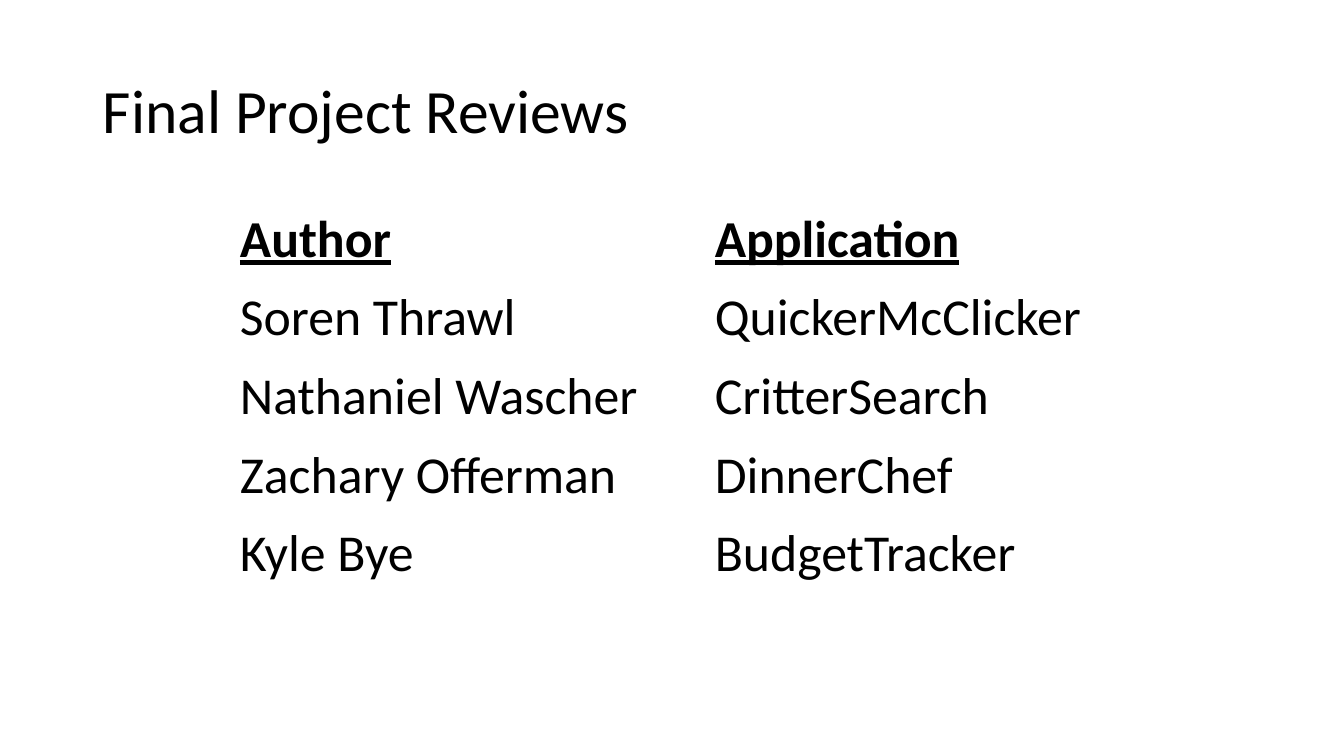
from pptx import Presentation
from pptx.dml.color import RGBColor
from pptx.enum.text import MSO_ANCHOR, PP_ALIGN
from pptx.util import Inches, Pt

BLACK = RGBColor(0, 0, 0)
FONT = "Calibri"
MIDDLE, BOTTOM = MSO_ANCHOR.MIDDLE, MSO_ANCHOR.BOTTOM
LEFT = PP_ALIGN.LEFT
TITLE_ONLY = 5

TITLE_BOX = (0.92, 0.4, 11.5, 1.45)
TABLE_BOX = (2.35, 1.91, 8.64, 3.9)
COLUMN_WIDTHS = (4.71, 3.93)
REVIEWS = (
    ("Author", "Application"),
    ("Soren Thrawl", "QuickerMcClicker"),
    ("Nathaniel Wascher", "CritterSearch"),
    ("Zachary Offerman", "DinnerChef"),
    ("Kyle Bye", "BudgetTracker"),
)


def style_text(para, size, emphasis=False):
    para.alignment = LEFT
    for span in para.runs:
        font = span.font
        font.name = FONT
        font.size = Pt(size)
        font.color.rgb = BLACK
        font.bold = emphasis
        font.underline = emphasis


def place_title(page, box, text):
    title = page.shapes.title
    title.left, title.top, title.width, title.height = map(Inches, box)
    frame = title.text_frame
    frame.text = text
    frame.vertical_anchor = MIDDLE
    para = frame.paragraphs[0]
    para.line_spacing = 0.9
    style_text(para, 44)


def style_cell(cell, text, emphasis):
    cell.fill.background()
    cell.vertical_anchor = BOTTOM
    cell.margin_left = cell.margin_top = cell.margin_right = Inches(0.03)
    cell.margin_bottom = 0
    cell.text_frame.text = text
    style_text(cell.text_frame.paragraphs[0], 37, emphasis)


def add_review_table(page, box, rows):
    frame = page.shapes.add_table(len(rows), len(COLUMN_WIDTHS), *map(Inches, box))
    table = frame.table
    table.horz_banding = False
    table.first_row = False
    for column, width in zip(table.columns, COLUMN_WIDTHS):
        column.width = Inches(width)
    for row_index, row in enumerate(rows):
        for column_index, text in enumerate(row):
            style_cell(table.cell(row_index, column_index), text, row_index == 0)


def main():
    deck = Presentation()
    deck.slide_width, deck.slide_height = Inches(13.33), Inches(7.5)
    page = deck.slides.add_slide(deck.slide_layouts[TITLE_ONLY])
    place_title(page, TITLE_BOX, "Final Project Reviews")
    add_review_table(page, TABLE_BOX, REVIEWS)
    deck.save("out.pptx")


if __name__ == "__main__":
    main()
